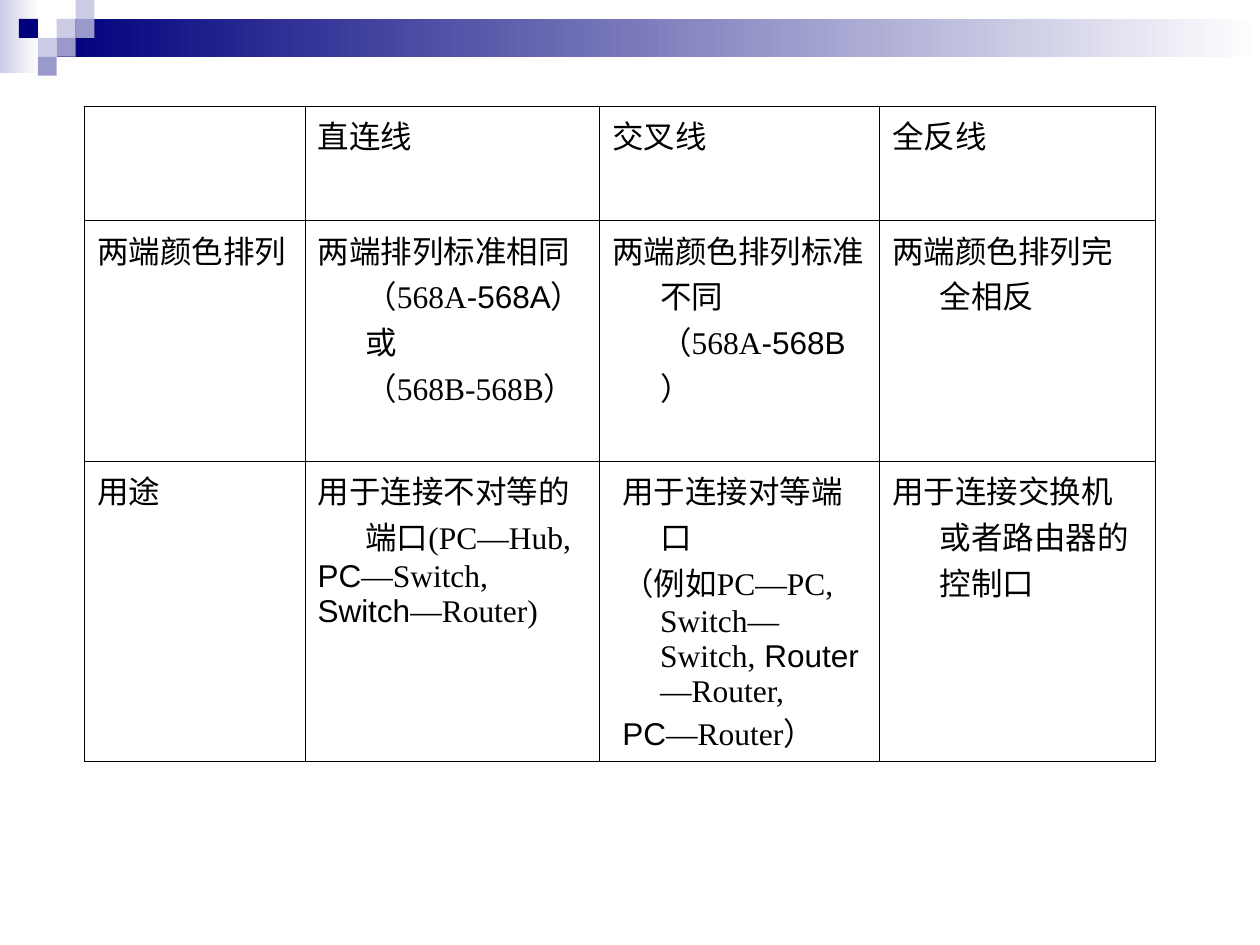
from dataclasses import dataclass

import pptx
import pptx.dml.color
import pptx.enum.shapes
import pptx.oxml
import pptx.oxml.ns
import pptx.util

Inches = pptx.util.Inches
COLORS = {
    "white": "FFFFFF",
    "black": "000000",
    "navy": "00007D",
    "lavender": "9999CC",
    "pale": "CCCCE6",
}
SERIF = "Times New Roman"
SANS = "Arial"
SQUARE_SIZE = 0.15
HANGING_INDENT = 0.38
BORDER_WIDTH = pptx.util.Pt(0.45)


@dataclass
class GradientBar:
    left: float
    top: float
    width: float
    height: float
    color: str


@dataclass
class Square:
    column: int
    row: int
    color: str


@dataclass
class Run:
    text: str
    font: str = SERIF


@dataclass
class CellText:
    paragraphs: list[list[Run]]
    first_line: float = -HANGING_INDENT


def simple(text: str) -> CellText:
    return CellText([[Run(text)]])


BARS = [
    GradientBar(0, 0, 0.31, 0.58, "pale"),
    GradientBar(0.45, 0.15, 9.55, 0.3, "navy"),
]
SQUARES = [
    Square(3, 1, "pale"),
    Square(4, 0, "pale"),
    Square(4, 1, "lavender"),
    Square(2, 2, "pale"),
    Square(1, 1, "navy"),
    Square(3, 2, "lavender"),
    Square(2, 3, "lavender"),
]
COLUMN_WIDTHS = [1.75, 2.34, 2.22, 2.19]
ROW_HEIGHTS = [0.91, 1.6, 2.2]
CABLE_ROWS = [
    [None, simple("直连线"), simple("交叉线"), simple("全反线")],
    [
        simple("两端颜色排列"),
        CellText([[Run("两端排列标准相同（568A"), Run("-568A", SANS), Run("）或（568B-568B）")]]),
        CellText([[Run("两端颜色排列标准不同（568A"), Run("-568B", SANS), Run("）")]]),
        simple("两端颜色排列完全相反"),
    ],
    [
        simple("用途"),
        CellText([
            [Run("用于连接不对等的端口(PC—Hub,")],
            [Run("PC", SANS), Run("—Switch,")],
            [Run("Switch", SANS), Run("—Router)")],
        ]),
        CellText([
            [Run("用于连接对等端口")],
            [Run("（例如PC—PC, Switch—Switch,"), Run(" Router", SANS), Run("—Router,")],
            [Run("PC", SANS), Run("—Router）")],
        ], first_line=-0.3),
        simple("用于连接交换机或者路由器的控制口"),
    ],
]


def rgb(color: str) -> pptx.dml.color.RGBColor:
    return pptx.dml.color.RGBColor.from_string(COLORS[color])


def add_rectangle(slide, left: float, top: float, width: float, height: float):
    shape = slide.shapes.add_shape(
        pptx.enum.shapes.MSO_SHAPE.RECTANGLE,
        Inches(left), Inches(top), Inches(width), Inches(height),
    )
    shape.shadow.inherit = False
    shape.line.fill.background()
    return shape


def draw_bar(slide, bar: GradientBar) -> None:
    fill = add_rectangle(slide, bar.left, bar.top, bar.width, bar.height).fill
    fill.gradient()
    fill.gradient_angle = 180
    for stop, color, position in zip(fill.gradient_stops, ["white", bar.color], [0, 1]):
        stop.color.rgb = rgb(color)
        stop.position = position


def draw_square(slide, square: Square) -> None:
    shape = add_rectangle(
        slide, square.column * SQUARE_SIZE, square.row * SQUARE_SIZE, SQUARE_SIZE, SQUARE_SIZE
    )
    shape.fill.solid()
    shape.fill.fore_color.rgb = rgb(square.color)


def set_borders(cell) -> None:
    properties = cell._tc.get_or_add_tcPr()
    for index, side in enumerate(["lnL", "lnR", "lnT", "lnB"]):
        border = pptx.oxml.parse_xml(
            f'<a:{side} {pptx.oxml.ns.nsdecls("a")} w="{BORDER_WIDTH}"><a:solidFill>'
            f'<a:srgbClr val="{COLORS["black"]}"/></a:solidFill></a:{side}>'
        )
        properties.insert(index, border)


def write_cell(cell, content: CellText) -> None:
    frame = cell.text_frame
    for index, runs in enumerate(content.paragraphs):
        paragraph = frame.add_paragraph() if index else frame.paragraphs[0]
        properties = paragraph._p.get_or_add_pPr()
        properties.set("marL", str(Inches(HANGING_INDENT)))
        properties.set("indent", str(Inches(content.first_line)))
        paragraph.font.size = pptx.util.Pt(18)
        paragraph.font.name = SERIF
        paragraph.font.color.rgb = rgb("black")
        for item in runs:
            run = paragraph.add_run()
            run.text = item.text
            if item.font != SERIF:
                run.font.name = item.font


def draw_cable_table(slide) -> None:
    table = slide.shapes.add_table(
        len(ROW_HEIGHTS), len(COLUMN_WIDTHS), Inches(0.67), Inches(0.84),
        Inches(sum(COLUMN_WIDTHS)), Inches(sum(ROW_HEIGHTS)),
    ).table
    table.first_row = False
    table.horz_banding = False
    for column, width in zip(table.columns, COLUMN_WIDTHS):
        column.width = Inches(width)
    for row, height, contents in zip(table.rows, ROW_HEIGHTS, CABLE_ROWS):
        row.height = Inches(height)
        for cell, content in zip(row.cells, contents):
            cell.fill.background()
            set_borders(cell)
            if content:
                write_cell(cell, content)


def main() -> None:
    presentation = pptx.Presentation()
    presentation.slide_width = Inches(10)
    presentation.slide_height = Inches(7.5)
    slide = presentation.slides.add_slide(presentation.slide_layouts[6])
    slide.background.fill.solid()
    slide.background.fill.fore_color.rgb = rgb("white")
    for bar in BARS:
        draw_bar(slide, bar)
    for square in SQUARES:
        draw_square(slide, square)
    draw_cable_table(slide)
    presentation.save("out.pptx")


if __name__ == "__main__":
    main()
